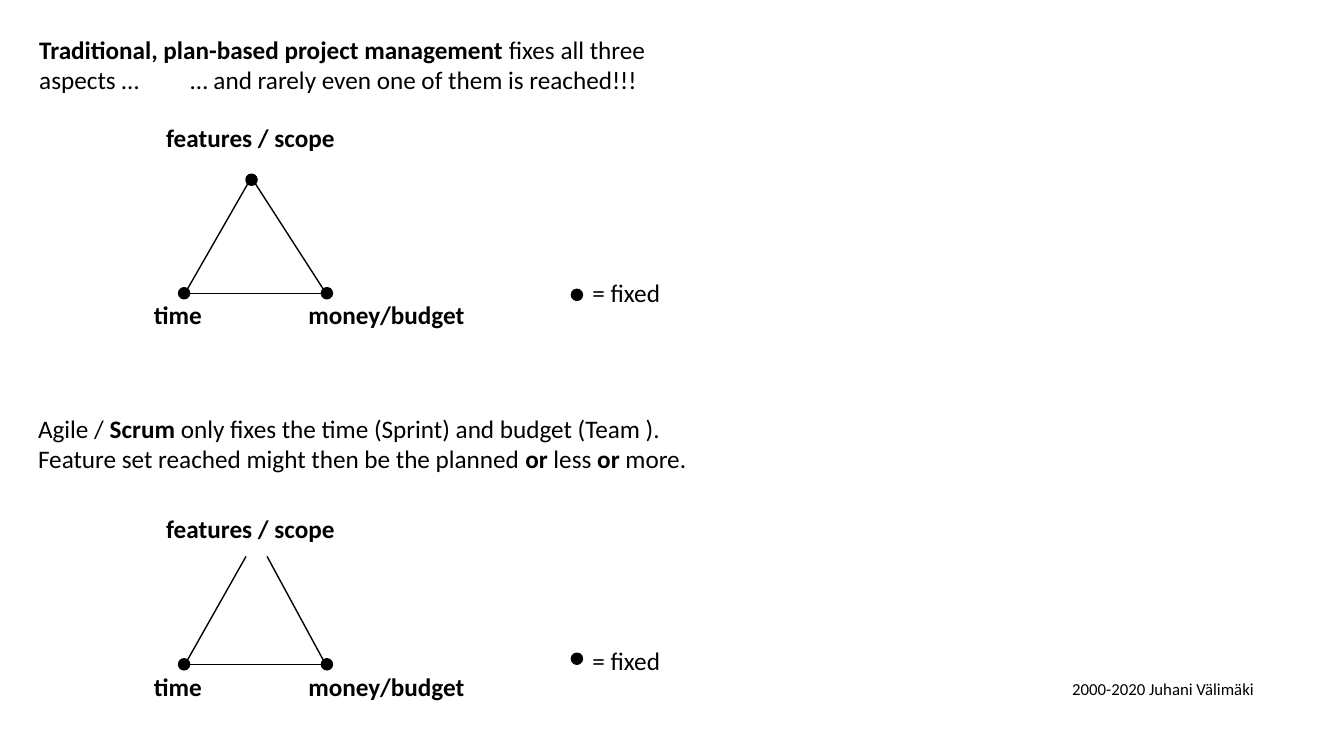
from pptx import Presentation
from pptx.dml.color import RGBColor
from pptx.enum.shapes import MSO_CONNECTOR, MSO_SHAPE
from pptx.enum.text import MSO_AUTO_SIZE
from pptx.oxml.ns import qn
from pptx.util import Cm, Pt
from lxml import etree

STRAIGHT, ELLIPSE = MSO_CONNECTOR.STRAIGHT, MSO_SHAPE.OVAL
FIT_SHAPE = MSO_AUTO_SIZE.SHAPE_TO_FIT_TEXT
COLORS = {"ink": "000000"}
INK = RGBColor.from_string(COLORS["ink"])
BODY = {"name": "Calibri", "size": Pt(18), "bold": False}
BOLD = {**BODY, "bold": True}
SMALL = {**BODY, "size": Pt(12)}

# Content: paragraphs are lists of (text, format) runs; lengths in cm
HEADINGS = [
    ((0.74, 0.74, 18.36), False, [
        [("Traditional, plan-based project management ", BOLD),
         ("fixes all three ", BODY)],
        [("aspects … \t… and rarely even one of them is reached!!!", BODY)]]),
    ((0.71, 10.29, 18.67), True, [
        [("Agile / ", BODY), ("Scrum", BOLD),
         (" only fixes the time (Sprint) and budget (Team ).", BODY)],
        [("Feature set reached might then be the planned ", BODY),
         ("or", BOLD), (" less ", BODY), ("or", BOLD), (" more.", BODY)]]),
]
TRIANGLES = [
    {"base": 7.39, "leg_top": 4.62, "leg_tops": (6.25, 6.43),
     "apex": (6.34, 4.53), "scope_top": 2.95,
     "legend_dot": 7.43, "legend_top": 6.86},
    {"base": 16.74, "leg_top": 14.02, "leg_tops": (6.2, 6.73),
     "apex": None, "scope_top": 12.8,
     "legend_dot": 16.6, "legend_top": 16.13},
]
CORNERS = (4.64, 8.24)
LEG_FEET = (4.72, 8.15)
BASE_ENDS = (4.78, 8.1)
DOT_SIZE = 0.28
LEGEND_DOT_X = 14.54
LINE_HEIGHT = 0.8

presentation = Presentation()
presentation.slide_width, presentation.slide_height = Cm(33.87), Cm(19.05)
slide = presentation.slides.add_slide(presentation.slide_layouts[6])


def add_text(left, top, width, paragraphs, wrap=False):
    height = 0.22 + LINE_HEIGHT * len(paragraphs)
    box = slide.shapes.add_textbox(Cm(left), Cm(top), Cm(width), Cm(height))
    frame = box.text_frame
    frame.word_wrap, frame.auto_size = wrap, FIT_SHAPE
    for index, runs in enumerate(paragraphs):
        paragraph = frame.add_paragraph() if index else frame.paragraphs[0]
        for text, style in runs:
            run = paragraph.add_run()
            run.text = text
            for name, value in style.items():
                setattr(run.font, name, value)
            run.font.color.rgb = INK


def draw_outline(line):
    line.color.rgb = INK
    line.width = Pt(1)


def add_dot(center_x, center_y):
    shape = slide.shapes.add_shape(
        ELLIPSE, Cm(center_x - DOT_SIZE / 2), Cm(center_y - DOT_SIZE / 2),
        Cm(DOT_SIZE), Cm(DOT_SIZE))
    shape.shadow.inherit = False
    shape.fill.solid()
    shape.fill.fore_color.rgb = INK
    draw_outline(shape.line)


def add_line(*ends):
    connector = slide.shapes.add_connector(STRAIGHT, *map(Cm, ends))
    draw_outline(connector.line)
    etree.SubElement(connector._element.spPr, qn("a:effectLst"))


# Headings
for place, wrap, paragraphs in HEADINGS:
    add_text(*place, paragraphs, wrap)

# Triangles with corner labels and legend
for triangle in TRIANGLES:
    base = triangle["base"]
    for foot, top in zip(LEG_FEET, triangle["leg_tops"]):
        add_line(foot, base - 0.1, top, triangle["leg_top"])
    add_line(BASE_ENDS[0], base, BASE_ENDS[1], base)

    dots = [(corner, base) for corner in CORNERS]
    dots.append((LEGEND_DOT_X, triangle["legend_dot"]))
    if triangle["apex"]:
        dots.append(triangle["apex"])
    for dot in dots:
        add_dot(*dot)

    for left, top, width, text, style in [
        (3.94, triangle["scope_top"], 5.38, "features / scope", BOLD),
        (3.63, base + 0.04, 1.83, "time", BOLD),
        (7.52, base + 0.04, 4.9, "money/budget", BOLD),
        (14.68, triangle["legend_top"], 2.41, "= fixed", BODY),
    ]:
        add_text(left, top, width, [[(text, style)]])

# Credit line
add_text(26.77, 16.97, 5.64, [[("2000-2020 Juhani Välimäki", SMALL)]])

presentation.save("out.pptx")
